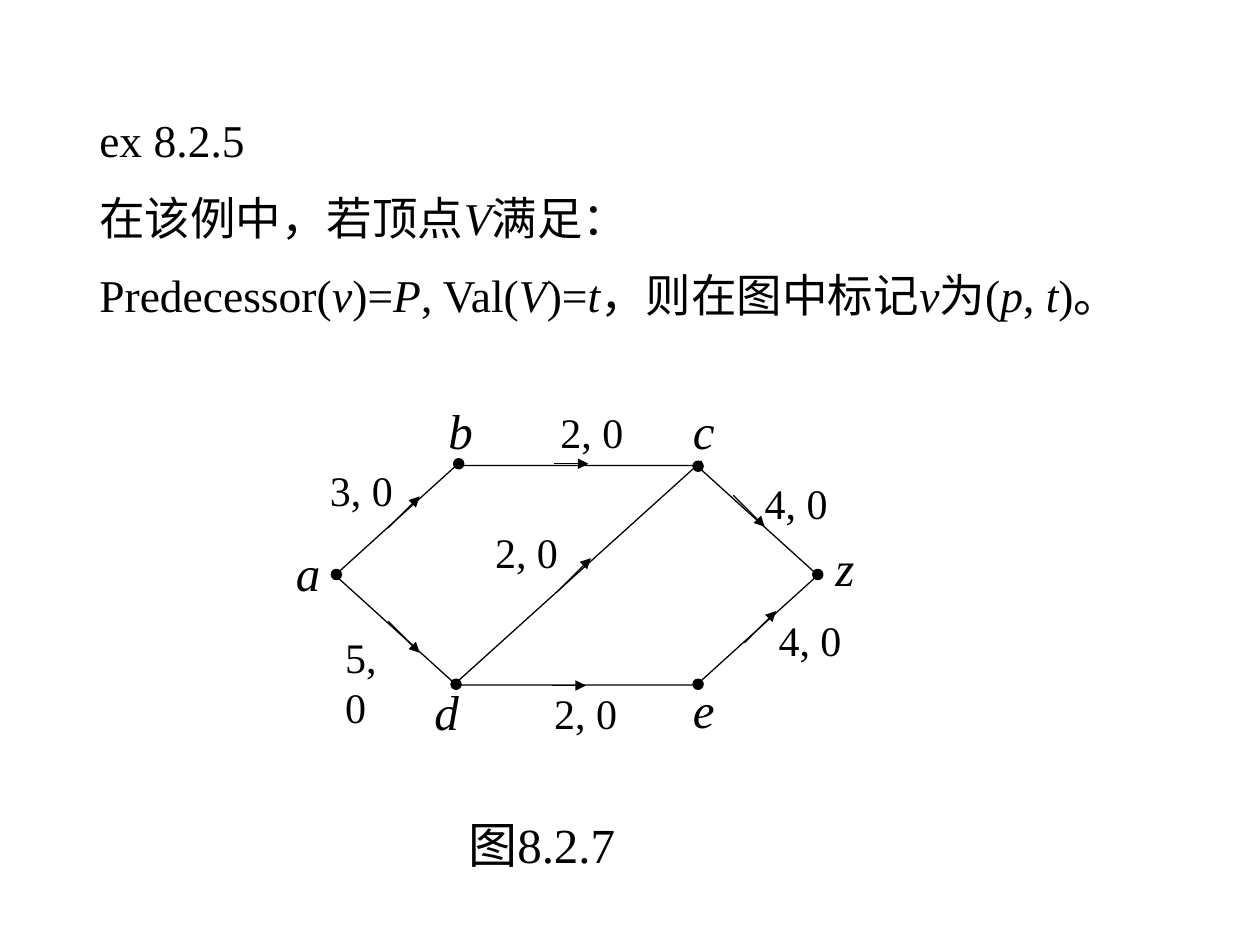
from pptx import Presentation
from pptx.dml.color import RGBColor
from pptx.enum.shapes import MSO_CONNECTOR as Conn, MSO_SHAPE as Shape
from pptx.enum.text import MSO_AUTO_SIZE as Auto
from pptx.oxml.ns import qn
from pptx.util import Pt
from lxml.etree import SubElement

BODY = [
    "ex 8.2.5",
    "在该例中，若顶点*V*满足：",
    "Predecessor(*v*)=*P*, Val(*V*)=*t*，则在图中标记*v*为(*p*, *t*)。",
]

# name: dot centre x, y, then label left, top, width
NODES = {
    "d": (260.6, 391, 241.2, 385.9, 28),
    "e": (398.9, 391, 388.8, 384.5, 26.6),
    "a": (192.2, 328.3, 162, 306.7, 28),
    "b": (262.1, 265, 249.1, 225.4, 28),
    "c": (398.9, 266.4, 388.8, 225.4, 26.6),
    "z": (467.3, 328.3, 470.2, 303.8, 32.4),
}

# arrow x, y, dx, dy, then weight and its left, top, width
EDGES = [
    (221.8, 301.7, 18, -18, "3, 0", 181.4, 262.1, 50.4),
    (425.5, 367.2, 18, -18, "4, 0", 437.8, 347.8, 50.4),
    (221.8, 355, 18, 18, "5,0", 190.1, 357.1, 44),
    (419, 283, 18, 18, "4, 0", 429.8, 269.3, 56.2),
    (315.4, 391.7, 19.4, 0, "2, 0", 309.6, 389.5, 50.4),
    (316.8, 265, 19.4, 0, "2, 0", 313.2, 229, 50.4),
    (318.2, 338.4, 19.4, -19.4, "2, 0", 275.8, 297.4, 50.4),
]


def color(code):
    return RGBColor.from_string(code)


class Pen:
    font = "Times New Roman"
    ink = "000000"
    width = 0.75

    def __init__(self, slide):
        self.slide = slide

    def stroke(self, item):
        item.line.color.rgb = color(self.ink)
        item.line.width = Pt(self.width)

    def shape(self, kind, x, y, w, h, fill=None):
        item = self.slide.shapes.add_shape(kind, Pt(x), Pt(y), Pt(w), Pt(h))
        item.shadow.inherit = False
        if fill:
            item.fill.solid()
            item.fill.fore_color.rgb = color(fill)
        else:
            item.fill.background()
        self.stroke(item)
        return item

    def dot(self, x, y, size=5.8):
        self.shape(Shape.OVAL, x - size / 2, y - size / 2, size, size, self.ink)

    def line(self, x, y, dx, dy, arrow=False):
        item = self.slide.shapes.add_connector(
            Conn.STRAIGHT, Pt(x), Pt(y), Pt(x + dx), Pt(y + dy))
        self.stroke(item)
        if arrow:
            SubElement(item.line._get_or_add_ln(), qn("a:tailEnd"), type="triangle")
        SubElement(item._element.spPr, qn("a:effectLst"))

    def text(self, lines, x, y, w, h, size, wrap=False, lead=None, gap=0):
        """Write lines in one box; parts between asterisks are italic."""
        frame = self.slide.shapes.add_textbox(Pt(x), Pt(y), Pt(w), Pt(h)).text_frame
        frame.word_wrap = wrap
        frame.auto_size = Auto.SHAPE_TO_FIT_TEXT
        for i, line in enumerate(lines):
            para = frame.add_paragraph() if i else frame.paragraphs[0]
            para.line_spacing = lead
            if i:
                para.space_before = Pt(gap)
            for j, part in enumerate(line.split("*")):
                if part:
                    run = para.add_run()
                    run.text = part
                    run.font.name = self.font
                    run.font.size = Pt(size)
                    run.font.italic = j % 2 == 1
                    run.font.color.rgb = color(self.ink)


def main():
    deck = Presentation()
    deck.slide_width, deck.slide_height = Pt(720), Pt(540)
    pen = Pen(deck.slides.add_slide(deck.slide_layouts[6]))

    pen.text(BODY, 49.7, 64.1, 617, 123.8, 26, wrap=True, lead=0.9, gap=16.2)

    ring = pen.shape(Shape.HEXAGON, 191.5, 265.7, 275.8, 126)
    ring.adjustments[0] = 0.55
    ring.adjustments[1] = 1.15
    pen.line(261.4, 389.5, 139.6, -126)

    for x, y, dx, dy, cost, left, top, w in EDGES:
        pen.line(x, y, dx, dy, arrow=True)
        pen.text([cost], left, top, w, 36, 24)
    for name, (x, y, left, top, w) in NODES.items():
        pen.dot(x, y)
        pen.text([f"*{name}*"], left, top, w, 41, 28)

    pen.text(["图8.2.7"], 260.6, 462.2, 105.1, 41, 28)
    deck.save("out.pptx")


if __name__ == "__main__":
    main()
